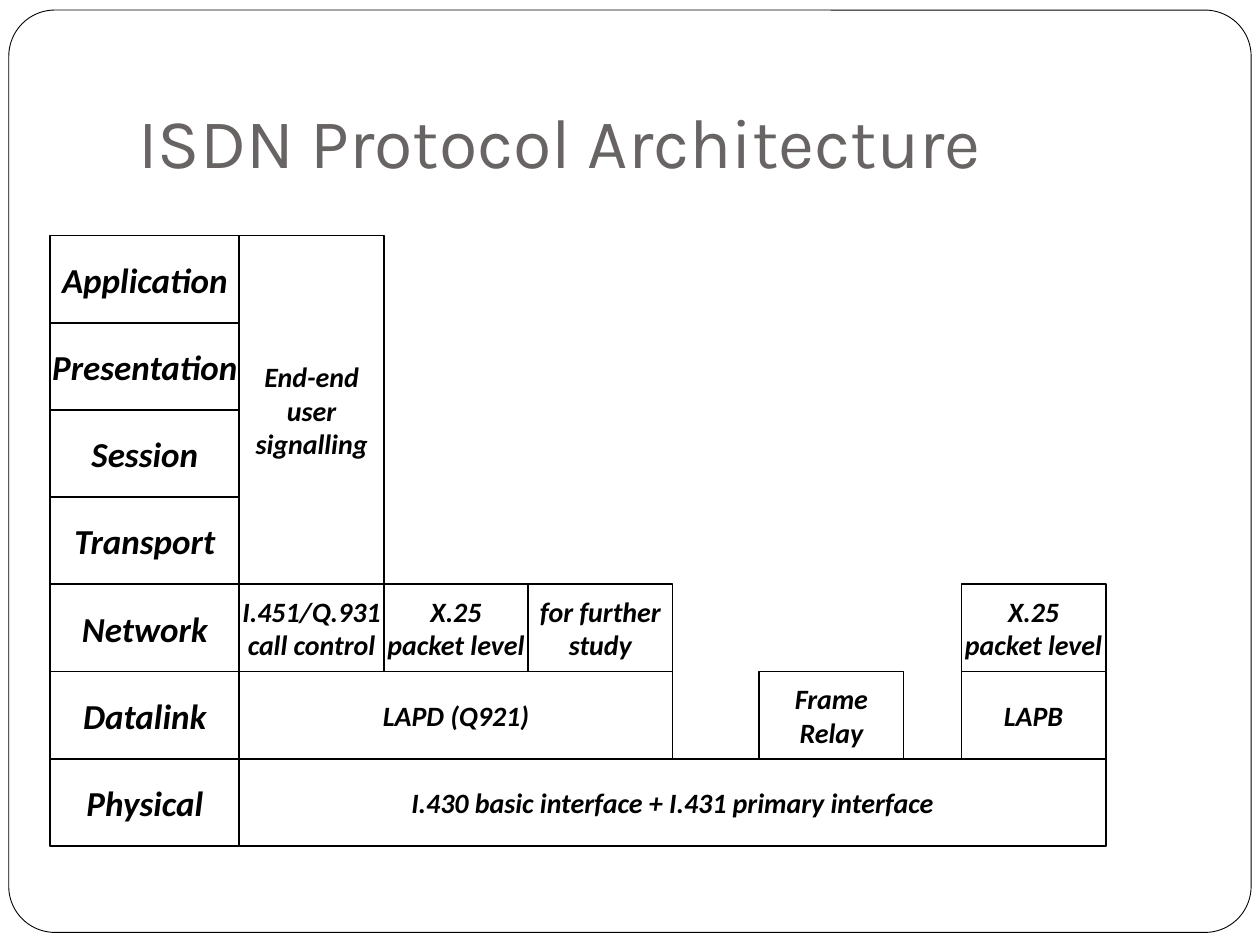
import pptx
import pptx.util
import pptx.dml.color
import pptx.enum.shapes
import pptx.enum.text

Inches = pptx.util.Inches
Pt = pptx.util.Pt
ANCHOR = pptx.enum.text.MSO_ANCHOR
ALIGN = pptx.enum.text.PP_ALIGN
SHAPE = pptx.enum.shapes.MSO_SHAPE

LAYERS = ["Application", "Presentation", "Session", "Transport",
          "Network", "Datalink", "Physical"]
STACK_LEFT, STACK_TOP = 0.4, 1.87
LAYER_W, ROW_H = 1.5, 0.692
PROTOCOL_LEFT = STACK_LEFT + LAYER_W
COL_W = 1.146

# text, left edge in columns, width in columns, first layer, layers covered
PROTOCOLS = [
    ("End-end\nuser\nsignalling", 0, 1, "Application", 4),
    ("I.451/Q.931\ncall control", 0, 1, "Network", 1),
    ("LAPD (Q921)", 0, 3, "Datalink", 1),
    ("I.430 basic interface + I.431 primary interface", 0, 6, "Physical", 1),
    ("X.25\npacket level", 1, 1, "Network", 1),
    ("for further\nstudy", 2, 1, "Network", 1),
    ("LAPB", 5, 1, "Datalink", 1),
    ("Frame\nRelay", 3.6, 1, "Datalink", 1),
    ("X.25\npacket level", 5, 1, "Network", 1),
]


def rgb(value):
    return pptx.dml.color.RGBColor.from_string(value)


def write(tf, text, size=16, font="Calibri", color="000000", bold=False,
          italic=False, align=ALIGN.LEFT, anchor=ANCHOR.MIDDLE, wrap=True):
    """Fill a text frame, one paragraph for each line of text."""
    tf.word_wrap = wrap
    tf.vertical_anchor = anchor
    for i, line in enumerate(text.split("\n")):
        p = tf.paragraphs[0] if i == 0 else tf.add_paragraph()
        p.alignment = align
        r = p.add_run()
        r.text = line
        r.font.size = Pt(size)
        r.font.name = font
        r.font.bold = bold
        r.font.italic = italic
        r.font.color.rgb = rgb(color)


def add_box(s, left, top, width, height, kind=SHAPE.RECTANGLE, line_width=1):
    sp = s.shapes.add_shape(kind, Inches(left), Inches(top),
                            Inches(width), Inches(height))
    sp.shadow.inherit = False
    sp.fill.solid()
    sp.fill.fore_color.rgb = rgb("FFFFFF")
    sp.line.color.rgb = rgb("000000")
    sp.line.width = Pt(line_width)
    return sp


def add_frame(s):
    sp = add_box(s, 0.07, 0.08, 9.86, 7.32, SHAPE.ROUNDED_RECTANGLE, 0.5)
    sp.adjustments[0] = 0.05


def add_title(s, text):
    sp = s.shapes.add_textbox(Inches(1), Inches(0.3), Inches(8.5), Inches(1.25))
    sp.text_frame.margin_bottom = Inches(0.1)
    write(sp.text_frame, text, size=40, font="Karla", color="696464",
          anchor=ANCHOR.BOTTOM)


def add_cell(s, text, left, width, row, rows=1, size=16):
    sp = add_box(s, left, STACK_TOP + row * ROW_H, width, rows * ROW_H)
    write(sp.text_frame, text, size=size, bold=True, italic=True,
          align=ALIGN.CENTER, wrap=False)


def main():
    prs = pptx.Presentation()
    prs.slide_width, prs.slide_height = Inches(10), Inches(7.5)
    s = prs.slides.add_slide(prs.slide_layouts[6])
    add_frame(s)
    add_title(s, "ISDN Protocol Architecture")
    for row, layer in enumerate(LAYERS):
        add_cell(s, layer, STACK_LEFT, LAYER_W, row, size=20)
    for text, col, cols, layer, rows in PROTOCOLS:
        add_cell(s, text, PROTOCOL_LEFT + col * COL_W, cols * COL_W,
                 LAYERS.index(layer), rows)
    prs.save("out.pptx")


if __name__ == "__main__":
    main()
